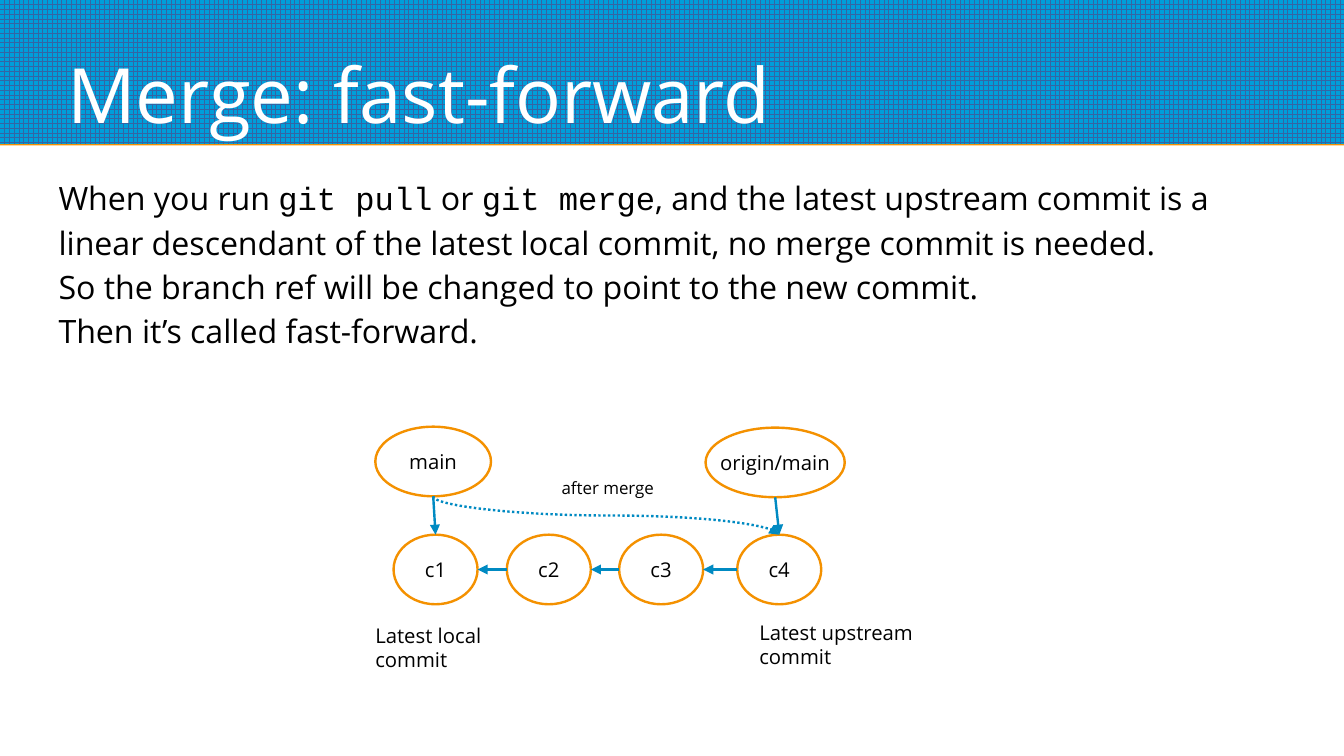
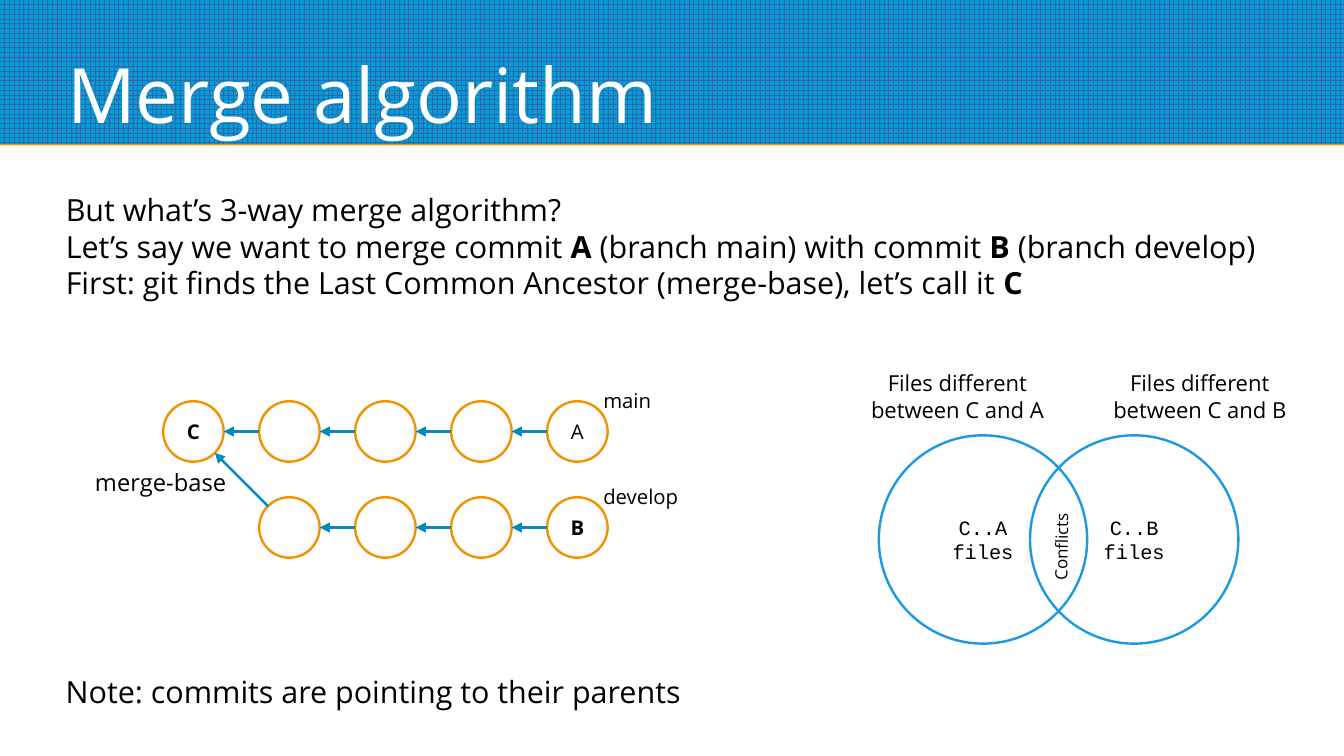
from dataclasses import dataclass
from math import cos, radians, sin
from typing import NamedTuple

from lxml import etree
from pptx import Presentation
from pptx.dml.color import RGBColor
from pptx.enum.dml import MSO_LINE, MSO_PATTERN
from pptx.enum.shapes import MSO_CONNECTOR, MSO_SHAPE
from pptx.enum.text import MSO_ANCHOR, MSO_AUTO_SIZE, PP_ALIGN
from pptx.oxml.ns import qn
from pptx.util import Cm, Pt

RECT, ELLIPSE = MSO_SHAPE.RECTANGLE, MSO_SHAPE.OVAL
STRAIGHT, CURVE = MSO_CONNECTOR.STRAIGHT, MSO_CONNECTOR.CURVE
GRID, DOTTED = MSO_PATTERN.LARGE_GRID, MSO_LINE.ROUND_DOT
LEFT, CENTER = PP_ALIGN.LEFT, PP_ALIGN.CENTER
MIDDLE, BOTTOM = MSO_ANCHOR.MIDDLE, MSO_ANCHOR.BOTTOM
NO_FIT = MSO_AUTO_SIZE.NONE
SITE_TOP, SITE_TOP_LEFT, SITE_LEFT = 0, 1, 2
SITE_BOTTOM, SITE_BOTTOM_RIGHT, SITE_RIGHT = 4, 5, 6


@dataclass(frozen=True)
class Theme:
    font: str = "Open Sans"
    mono: str = "Courier New"
    text: str = "000000"
    title_text: str = "FFFFFF"
    band: str = "009EDA"
    band_grid: str = "3465A4"
    accent: str = "F49100"
    arrow: str = "008AC2"
    venn: str = "1C99E0"
    title_size: int = 45
    lead_size: int = 19
    body_size: int = 18
    base_size: int = 14
    caption_size: int = 13
    label_size: int = 12
    small_size: int = 10
    stroke: float = 1.42
    inset: float = 0.1


class Box(NamedTuple):
    x: float
    y: float
    w: float
    h: float

    def at(self, dx, dy, w, h):
        return Box(self.x + dx, self.y + dy, w, h)

    def emu(self):
        return [Cm(round(v, 2)) for v in self]


T = Theme()
PAGE = Box(0, 0, 28, 15.75)
BAND = Box(0, 0, 28, 3)
TITLE = Box(1.4, 0.25, 25.2, 2.65)
BODY = Box(1.27, 3.9, 26.03, 2.45)


def rgb(color):
    return RGBColor.from_string(color)


def place(sp, box):
    sp.left, sp.top, sp.width, sp.height = box.emu()


def style_run(r, size, color=T.text, font=T.font, bold=False):
    r.font.size = Pt(size)
    r.font.name = font
    r.font.bold = bold
    r.font.color.rgb = rgb(color)


def setup_frame(tf, anchor=MIDDLE, inset=T.inset, wrap=True):
    tf.auto_size = NO_FIT
    tf.word_wrap = wrap
    tf.vertical_anchor = anchor
    tf.margin_left = tf.margin_right = Cm(inset)
    tf.margin_top = tf.margin_bottom = Cm(inset)


def write(tf, text, size, align=LEFT, **style):
    tf.text = text
    for p in tf.paragraphs:
        p.alignment = align
        for r in p.runs:
            style_run(r, size, **style)


def add_label(s, box, text, size=T.label_size, align=LEFT):
    sp = s.shapes.add_textbox(*box.emu())
    setup_frame(sp.text_frame)
    write(sp.text_frame, text, size, align)
    return sp


def add_node(s, box, text="", line=T.accent, **style):
    sp = s.shapes.add_shape(ELLIPSE, *box.emu())
    sp.shadow.inherit = False
    sp.fill.background()
    sp.line.color.rgb = rgb(line)
    sp.line.width = Pt(T.stroke)
    if text:
        setup_frame(sp.text_frame, wrap=False)
        write(sp.text_frame, text, T.label_size, CENTER, **style)
    return sp


def site_point(sp, site):
    angle = radians(90 + 45 * site)
    x = sp.left + sp.width / 2 * (1 + cos(angle))
    y = sp.top + sp.height / 2 * (1 - sin(angle))
    return round(x), round(y)


def add_arrow(s, start, start_site, end, end_site, kind=STRAIGHT, dash=None):
    x1, y1 = site_point(start, start_site)
    x2, y2 = site_point(end, end_site)
    cxn = s.shapes.add_connector(kind, x1, y1, x2, y2)
    cxn.line.color.rgb = rgb(T.arrow)
    cxn.line.width = Pt(T.stroke)
    if dash:
        cxn.line.dash_style = dash
    sp_pr = cxn.element.find(qn("p:spPr"))
    etree.SubElement(sp_pr.find(qn("a:ln")), qn("a:tailEnd"), type="triangle")
    etree.SubElement(sp_pr, qn("a:effectLst"))
    props = cxn.element.find(f"{qn('p:nvCxnSpPr')}/{qn('p:cNvCxnSpPr')}")
    for tag, sp, site in (("a:stCxn", start, start_site), ("a:endCxn", end, end_site)):
        etree.SubElement(props, qn(tag), id=str(sp.shape_id), idx=str(site))
    return cxn


def turn_downward(cxn):
    x, y, w, h = cxn.left, cxn.top, cxn.width, cxn.height
    cxn.left, cxn.top = x + (w - h) // 2, y + (h - w) // 2
    cxn.width, cxn.height = h, w
    xfrm = cxn.element.find(f"{qn('p:spPr')}/{qn('a:xfrm')}")
    xfrm.set("rot", "16200000")
    xfrm.set("flipH", "1")


def add_band(s, layout):
    sp = s.shapes.add_shape(RECT, *BAND.emu())
    sp.shadow.inherit = False
    sp.line.fill.background()
    sp.fill.patterned()
    sp.fill.pattern = GRID
    sp.fill.fore_color.rgb = rgb(T.band_grid)
    sp.fill.back_color.rgb = rgb(T.band)
    effects = sp.element.find(f"{qn('p:spPr')}/{qn('a:effectLst')}")
    shadow = etree.SubElement(effects, qn("a:outerShdw"), blurRad="0", dist=str(Pt(0.9)),
                              dir="5400000", algn="t", rotWithShape="0")
    etree.SubElement(shadow, qn("a:srgbClr"), val=T.accent)
    layout.shapes.element.insert(2, sp.element)


def setup_template(prs):
    prs.slide_width, prs.slide_height = PAGE.emu()[2:]
    layout = prs.slide_layouts[1]
    for other in list(prs.slide_layouts):
        if other is not layout and other.name != layout.name:
            prs.slide_layouts.remove(other)
    for level in (prs.slide_master, layout):
        title, body, *footers = list(level.placeholders)
        place(title, TITLE)
        place(body, BODY)
        for sp in footers:
            sp.element.getparent().remove(sp.element)
    return layout


def add_slide(prs, layout, title):
    s = prs.slides.add_slide(layout)
    tf = s.shapes.title.text_frame
    setup_frame(tf, BOTTOM, 0)
    write(tf, title, T.title_size, color=T.title_text)
    return s


def fill_body(s, box, paragraphs, size, spacing=1.0):
    sp = s.placeholders[1]
    place(sp, box)
    tf = sp.text_frame
    setup_frame(tf)
    for i, parts in enumerate(paragraphs):
        p = tf.add_paragraph() if i else tf.paragraphs[0]
        p_pr = p._p.get_or_add_pPr()
        p_pr.set("marL", "0")
        p_pr.set("indent", "0")
        etree.SubElement(p_pr, qn("a:buNone"))
        p.alignment = LEFT
        p.line_spacing = spacing
        p.space_before = Pt(0)
        for text, style in parts:
            r = p.add_run()
            r.text = text
            style_run(r, size, **style)


def draw_fast_forward(s, box):
    main = add_node(s, box.at(0.1, 0, 2.41, 1.45), "main")
    origin = add_node(s, box.at(6.98, 0.02, 2.9, 1.45), "origin/main")
    commits = [add_node(s, box.at(dx, 2.25, 1.75, 1.45), f"c{i}")
               for i, dx in enumerate((0.48, 2.84, 5.18, 7.64), 1)]
    add_arrow(s, main, SITE_BOTTOM, commits[0], SITE_TOP)
    add_arrow(s, origin, SITE_BOTTOM, commits[-1], SITE_TOP)
    for parent, child in zip(commits, commits[1:]):
        add_arrow(s, child, SITE_LEFT, parent, SITE_RIGHT)
    turn_downward(add_arrow(s, main, SITE_BOTTOM, commits[-1], SITE_TOP, CURVE, DOTTED))
    add_label(s, box.at(8, 3.76, 3.78, 1.55), "Latest upstream\ncommit")
    add_label(s, box.at(0, 3.84, 3.78, 1.52), "Latest local\ncommit")
    add_label(s, box.at(3.88, 0.89, 2.36, 0.76), "after merge", T.small_size)


def draw_branches(s, box):
    pitch, size = 2, 1.26
    names = {(0, 0): "C", (0, 4): "A", (1, 4): "B"}
    rows = []
    for row, (first, branch) in enumerate(((0, "main"), (1, "develop"))):
        nodes = []
        for col in range(first, 5):
            name = names.get((row, col), "")
            cell = box.at(col * pitch, row * pitch, size, size)
            nodes.append(add_node(s, cell, name, bold=name in ("B", "C")))
        for parent, child in zip(nodes, nodes[1:]):
            add_arrow(s, child, SITE_LEFT, parent, SITE_RIGHT)
        add_label(s, box.at(9.07, row * pitch - 0.41, 3, 0.79), branch)
        rows.append(nodes)
    add_arrow(s, rows[1][0], SITE_TOP_LEFT, rows[0][0], SITE_BOTTOM_RIGHT)
    add_label(s, box.at(-1.52, 1.25, 3.1, 0.86), "merge-base", T.base_size)


def draw_venn(s, box):
    for i, name in enumerate("AB"):
        add_node(s, box.at(0.78 + 3.15 * i, 1.6, 4.34, 4.34), f"C..{name}\nfiles",
                 line=T.venn, font=T.mono)
        add_label(s, box.at(5.05 * i, 0, 4.83, 1.57),
                  f"Files different\nbetween C and {name}", T.caption_size, CENTER)
    sp = add_label(s, box.at(3.48, 3.15, 2.2, 0.94), "Conflicts", T.small_size)
    sp.rotation = 270.9


def build_fast_forward(s):
    mono = {"font": T.mono}
    fill_body(s, Box(1.12, 3.25, 25.55, 4.4), [
        [("When you run ", {}), ("git pull", mono), (" or ", {}), ("git merge", mono),
         (", and the latest upstream commit is a linear descendant of the latest "
          "local commit, no merge commit is needed.", {})],
        [("So the branch ref will be changed to point to the new commit.", {})],
        [("Then it’s called fast-forward.", {})],
    ], T.lead_size, 1.15)
    draw_fast_forward(s, Box(7.72, 8.89, 11.78, 5.36))


def build_algorithm(s):
    bold = {"bold": True}
    fill_body(s, BODY, [
        [("But what’s 3-way merge algorithm?", {})],
        [("Let’s say we want to merge commit ", {}), ("A", bold),
         (" (branch main) with commit ", {}), ("B", bold), (" (branch develop)", {})],
        [("First: git finds the Last Common Ancestor (merge-base), let’s call it ", {}),
         ("C", bold)],
    ], T.body_size)
    draw_branches(s, Box(3.4, 8.36, 12, 3.26))
    draw_venn(s, Box(17.53, 7.47, 9.88, 5.94))
    add_label(s, Box(1.27, 13.87, 13.4, 1.07),
              "Note: commits are pointing to their parents", T.body_size)


def main():
    prs = Presentation()
    layout = setup_template(prs)
    s = add_slide(prs, layout, "Merge: fast-forward")
    add_band(s, layout)
    build_fast_forward(s)
    build_algorithm(add_slide(prs, layout, "Merge algorithm"))
    prs.save("out.pptx")


if __name__ == "__main__":
    main()
